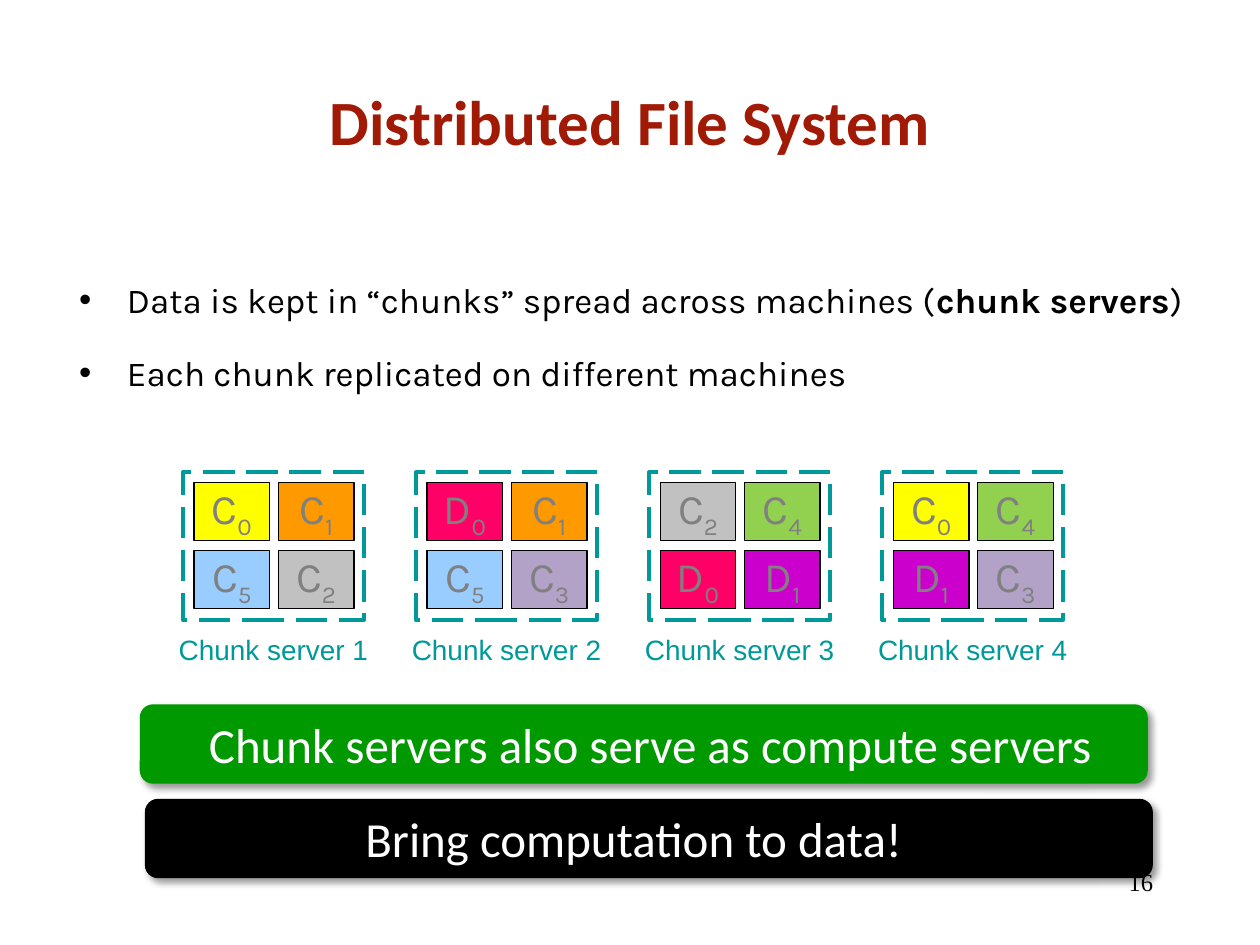
from lxml.etree import SubElement
from pptx import Presentation
from pptx.dml.color import RGBColor
from pptx.enum.dml import MSO_LINE
from pptx.enum.shapes import MSO_SHAPE
from pptx.enum.text import MSO_ANCHOR, PP_ALIGN
from pptx.oxml import parse_xml
from pptx.oxml.ns import nsdecls, qn
from pptx.util import Inches, Pt

BLACK = RGBColor(0x00, 0x00, 0x00)
WHITE = RGBColor(0xFF, 0xFF, 0xFF)
RED = RGBColor(0xA0, 0x1A, 0x06)
TEAL = RGBColor(0x00, 0x99, 0x99)
GRAY = RGBColor(0x80, 0x80, 0x80)
GREEN = RGBColor(0x00, 0x99, 0x00)
CHUNK_COLORS = {
    "C0": RGBColor(0xFF, 0xFF, 0x00),
    "C1": RGBColor(0xFF, 0x99, 0x00),
    "C2": RGBColor(0xC1, 0xC1, 0xC1),
    "C3": RGBColor(0xB3, 0xA2, 0xC7),
    "C4": RGBColor(0x92, 0xD0, 0x50),
    "C5": RGBColor(0x99, 0xCC, 0xFF),
    "D0": RGBColor(0xFF, 0x00, 0x66),
    "D1": RGBColor(0xCC, 0x00, 0xCC),
}
# Chunks of each server: top left, top right, bottom left, bottom right
SERVERS = [
    ["C0", "C1", "C5", "C2"],
    ["D0", "C1", "C5", "C3"],
    ["C2", "C4", "D0", "D1"],
    ["C0", "C4", "D1", "C3"],
]
SHADOW = (
    f'<a:effectLst {nsdecls("a")}>'
    '<a:outerShdw blurRad="50800" dist="38100" dir="2700000" algn="tl" rotWithShape="0">'
    '<a:srgbClr val="000000"><a:alpha val="40000"/></a:srgbClr>'
    "</a:outerShdw></a:effectLst>"
)


def add_text(paragraph, text, font="Calibri", size=20, color=BLACK,
             bold=False, subscript=False, align=None):
    """Append one formatted run to the paragraph."""
    run = paragraph.add_run()
    run.text = text
    run.font.name = font
    run.font.size = Pt(size)
    run.font.color.rgb = color
    run.font.bold = bold
    if subscript:
        run._r.get_or_add_rPr().set("baseline", "-25000")
    if align is not None:
        paragraph.alignment = align


def add_frame(left, top, width, height, wrap=True):
    """Add a text box and return its text frame."""
    box = slide.shapes.add_textbox(Inches(left), Inches(top), Inches(width), Inches(height))
    box.text_frame.word_wrap = wrap
    return box.text_frame


presentation = Presentation()
presentation.slide_width = Inches(10)
presentation.slide_height = Inches(7.5)
slide = presentation.slides.add_slide(presentation.slide_layouts[6])

title = add_frame(0.75, 0.33, 8.5, 1.25)
title.vertical_anchor = MSO_ANCHOR.MIDDLE
add_text(title.paragraphs[0], "Distributed File System", size=36, color=RED,
         bold=True, align=PP_ALIGN.CENTER)

# Chunk servers, each a dashed frame around a two by two grid of chunks
for server, chunks in enumerate(SERVERS):
    server_left = 1.45 + server * 1.85
    label = add_frame(server_left - 0.13, 4.97, 1.71, 0.37, wrap=False)
    add_text(label.paragraphs[0], f"Chunk server {server + 1}", font="Arial", size=16, color=TEAL)

    outline = slide.shapes.add_shape(
        MSO_SHAPE.RECTANGLE, Inches(server_left), Inches(3.75), Inches(1.44), Inches(1.17))
    outline.shadow.inherit = False
    outline.fill.background()
    outline.line.color.rgb = TEAL
    outline.line.width = Pt(2.25)
    outline.line.dash_style = MSO_LINE.LONG_DASH

    for position, name in enumerate(chunks):
        row, column = divmod(position, 2)
        chunk = slide.shapes.add_shape(
            MSO_SHAPE.RECTANGLE,
            Inches(server_left + 0.09 + column * 0.67), Inches(3.83 + row * 0.54),
            Inches(0.6), Inches(0.46))
        chunk.shadow.inherit = False
        chunk.fill.solid()
        chunk.fill.fore_color.rgb = CHUNK_COLORS[name]
        chunk.line.color.rgb = BLACK
        chunk.line.width = Pt(0.75)
        frame = chunk.text_frame
        frame.margin_left = frame.margin_right = frame.margin_top = frame.margin_bottom = 0
        frame.vertical_anchor = MSO_ANCHOR.TOP
        paragraph = frame.paragraphs[0]
        add_text(paragraph, name[0], font="Karla", size=24, color=GRAY, align=PP_ALIGN.CENTER)
        add_text(paragraph, name[1], font="Karla", size=24, color=GRAY, subscript=True)

# Banners: left, top, fill, left and right margin, text
for left, top, color, margin_left, margin_right, text in [
    (1.11, 5.59, GREEN, 0.2, 0.1, "Chunk servers also serve as compute servers"),
    (1.15, 6.34, BLACK, 0.1, 0.34, "Bring computation to data!"),
]:
    banner = slide.shapes.add_shape(
        MSO_SHAPE.ROUNDED_RECTANGLE, Inches(left), Inches(top), Inches(8), Inches(0.63))
    banner.fill.solid()
    banner.fill.fore_color.rgb = color
    banner.line.fill.background()
    banner._element.spPr.append(parse_xml(SHADOW))
    frame = banner.text_frame
    frame.word_wrap = True
    frame.vertical_anchor = MSO_ANCHOR.TOP
    frame.margin_left = Inches(margin_left)
    frame.margin_right = Inches(margin_right)
    add_text(frame.paragraphs[0], text, size=28, color=WHITE, align=PP_ALIGN.CENTER)

body = add_frame(0.53, 2.16, 9.27, 1.03)
body_lines = [
    [("Data is kept in “chunks” spread across machines (", False),
     ("chunk servers", True), (")", False)],
    [("Each chunk replicated on different machines", False)],
]
for index, parts in enumerate(body_lines):
    paragraph = body.add_paragraph() if index else body.paragraphs[0]
    paragraph.space_after = Pt(18)
    properties = paragraph._p.get_or_add_pPr()
    properties.set("marL", str(Inches(0.38)))
    properties.set("indent", str(Inches(-0.38)))
    SubElement(properties, qn("a:buFont")).set("typeface", "Arial")
    SubElement(properties, qn("a:buChar")).set("char", "•")
    for text, bold in parts:
        add_text(paragraph, text, font="Karla", bold=bold)

page_number = add_frame(7.17, 6.83, 2.08, 0.5)
add_text(page_number.paragraphs[0], "16", font="Times New Roman", size=14, align=PP_ALIGN.RIGHT)

presentation.save("out.pptx")
